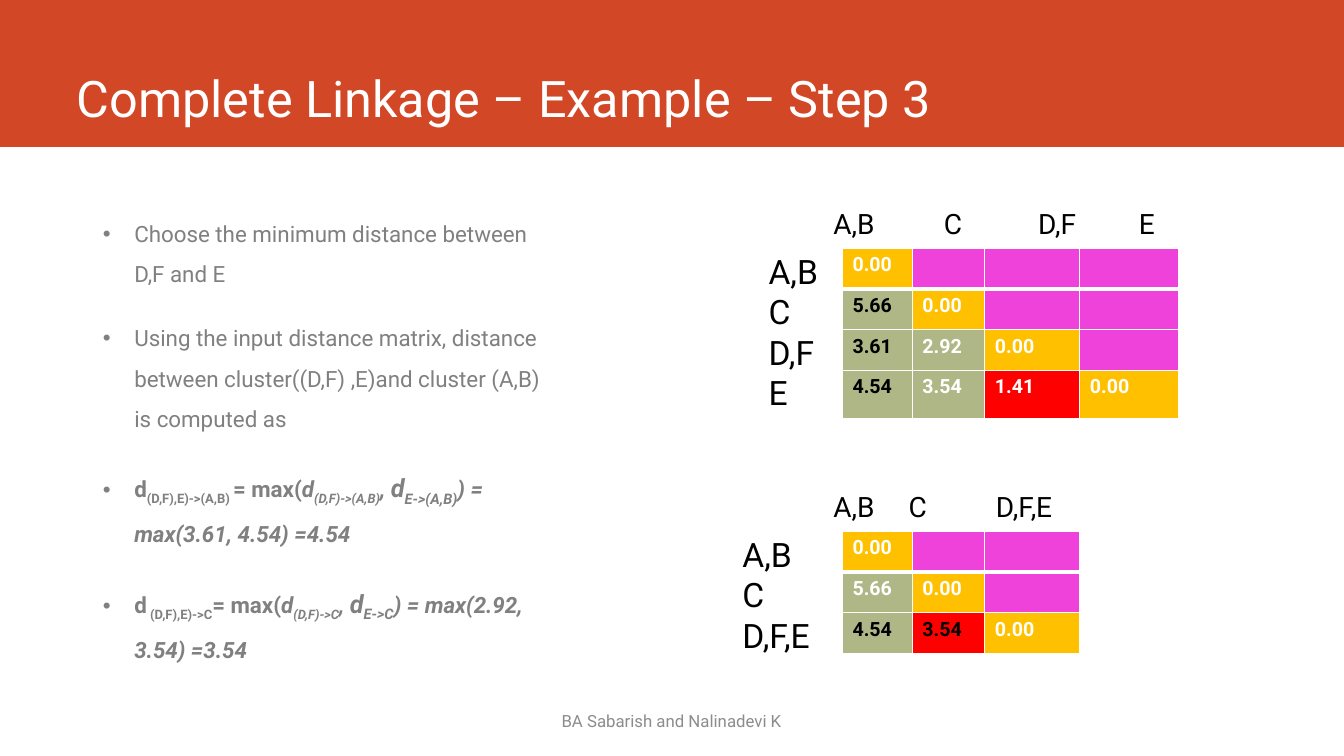
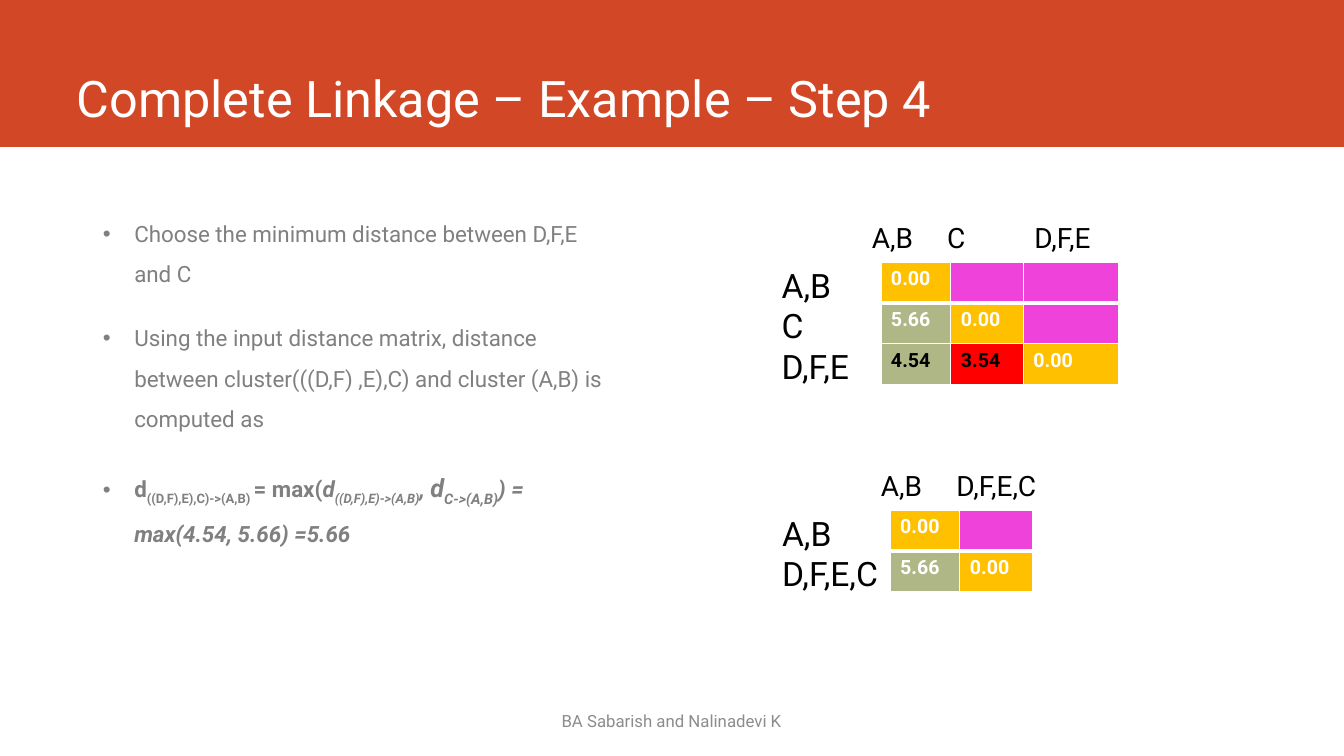
import dataclasses

import pptx
import pptx.dml.color
import pptx.enum.shapes
import pptx.enum.text
import pptx.oxml.ns
import pptx.util
from lxml import etree

Cm = pptx.util.Cm
Pt = pptx.util.Pt
ANCHOR = pptx.enum.text.MSO_ANCHOR
ALIGN = pptx.enum.text.PP_ALIGN
qn = pptx.oxml.ns.qn


@dataclasses.dataclass(frozen=True)
class Theme:
    """Colours, font and type sizes of the deck."""
    font: str = "Roboto"
    band: str = "D24726"
    white: str = "FFFFFF"
    black: str = "000000"
    body: str = "808080"
    foot: str = "8C8C8C"
    gold: str = "FFC000"
    pink: str = "EE42DA"
    green: str = "AEB785"
    red: str = "FF0000"
    head_size: int = 36
    row_size: int = 24
    col_size: int = 20
    big_size: int = 18
    text_size: int = 16
    cell_size: int = 14
    foot_size: int = 12


def rgb(code):
    return pptx.dml.color.RGBColor.from_string(code)


def plain(text):
    return [(text, {})]


def maxim(sub, left, right, end):
    bold = {"bold": True}
    slant = {"bold": True, "italic": True}
    large = {**slant, "size": Theme.big_size}
    return [
        ("d", bold), (sub, {**bold, "low": True}), ("= max(", bold),
        ("d", slant), (left, {**slant, "low": True}), (", ", slant),
        ("d", large), (right, {**large, "low": True}), (end, slant),
    ]


class Deck:
    """Holds the theme and the current slide, and draws each kind of element."""
    wide, high = 33.87, 19.05
    cols = (1.76, 1.83, 2.39, 2.49)
    row, last = 1.03, 1.22

    def __init__(self, theme):
        self.theme = theme
        self.file = pptx.Presentation()
        self.file.slide_width = Cm(self.wide)
        self.file.slide_height = Cm(self.high)
        self.base = self.file.slide_layouts[1]
        self.slide = None

    def start(self, title):
        first = self.slide is None
        self.slide = self.file.slides.add_slide(self.base)
        if first:
            self.band()
        self.title(title)
        self.foot("BA Sabarish and Nalinadevi K")

    def band(self):
        kind = pptx.enum.shapes.MSO_SHAPE.RECTANGLE
        bar = self.slide.shapes.add_shape(kind, 0, 0, Cm(self.wide), Cm(3.7))
        bar.shadow.inherit = False
        bar.fill.solid()
        bar.fill.fore_color.rgb = rgb(self.theme.band)
        bar.line.fill.background()
        self.base.shapes._spTree.insert(2, bar._element)

    def place(self, shape, left, top, width, height):
        shape.left, shape.top = Cm(left), Cm(top)
        shape.width, shape.height = Cm(width), Cm(height)
        frame = shape.text_frame
        frame.word_wrap = True
        frame.auto_size = pptx.enum.text.MSO_AUTO_SIZE.NONE
        return frame

    def style(self, run, size, color, bold=False, italic=False, low=False):
        font = run.font
        font.name, font.size = self.theme.font, Pt(size)
        font.bold, font.italic = bold, italic
        font.color.rgb = rgb(color)
        if low:
            run._r.get_or_add_rPr().set("baseline", "-25000")

    def paint(self, frame, size, color, **look):
        for para in frame.paragraphs:
            for run in para.runs:
                self.style(run, size, color, **look)

    def title(self, text):
        frame = self.place(self.slide.shapes.title, 1.68, 0, 29.87, 3.35)
        frame.text = text
        frame.vertical_anchor = ANCHOR.BOTTOM
        frame.paragraphs[0].alignment = ALIGN.LEFT
        self.paint(frame, self.theme.head_size, self.theme.white)

    def label(self, text, left, top, width, height, size, color):
        box = self.slide.shapes.add_textbox(0, 0, 0, 0)
        frame = self.place(box, left, top, width, height)
        frame.text = text
        self.paint(frame, size, color)
        return frame

    def foot(self, text):
        frame = self.label(text, 12.9, 17.65, 8.05, 1.02,
                           self.theme.foot_size, self.theme.foot)
        frame.vertical_anchor = ANCHOR.MIDDLE
        frame.paragraphs[0].alignment = ALIGN.CENTER

    def points(self, width, items):
        body = self.slide.placeholders[1]
        frame = self.place(body, 2.34, 5.08, width, 12.09)
        for index, parts in enumerate(items):
            para = frame.paragraphs[0] if index == 0 else frame.add_paragraph()
            props = para._p.get_or_add_pPr()
            props.set("marL", str(Cm(0.79)))
            props.set("indent", str(-Cm(0.79)))
            etree.SubElement(props, qn("a:buFont")).set("typeface", "Arial")
            etree.SubElement(props, qn("a:buChar")).set("char", "•")
            para.line_spacing = 1.5
            para.space_before = Pt(5 if index else 0)
            para.space_after = Pt(12)
            for text, look in parts:
                run = para.add_run()
                run.text = text
                self.style(run, **{"size": self.theme.text_size,
                                   "color": self.theme.body, **look})

    def edge(self, cell, thick):
        props = cell._tc.get_or_add_tcPr()
        for side in "LRTB":
            line = etree.SubElement(props, qn("a:ln" + side))
            line.set("w", str(Pt(3 if thick and side == "B" else 1)))
            fill = etree.SubElement(line, qn("a:solidFill"))
            etree.SubElement(fill, qn("a:srgbClr")).set("val", self.theme.white)

    def tint(self, row, col, hot):
        if (row, col) == hot:
            return self.theme.red
        if row == col:
            return self.theme.gold
        return self.theme.pink if col > row else self.theme.green

    def matrix(self, left, top, gap, names, tabs, rows, hot=None, dark=()):
        count = len(rows)
        theme = self.theme
        wide = sum(self.cols[:count])
        shape = self.slide.shapes.add_table(
            count, count, Cm(left), Cm(top), Cm(wide), Cm(self.row * count))
        grid = shape.table
        grid.first_row = grid.horz_banding = False
        for index in range(count):
            grid.columns[index].width = Cm(self.cols[index])
            grid.rows[index].height = Cm(self.last if index == 3 else self.row)
        for row in range(count):
            for col in range(count):
                cell = grid.cell(row, col)
                self.edge(cell, row == 0)
                cell.fill.solid()
                cell.fill.fore_color.rgb = rgb(self.tint(row, col, hot))
                if col <= row:
                    cell.text_frame.text = rows[row][col]
                    color = theme.black if (row, col) in dark else theme.white
                    self.paint(cell.text_frame, theme.cell_size, color, bold=True)
        self.label("\n".join(names), left - gap, top - 0.05, gap,
                   self.row * count + 0.9, theme.row_size, theme.black)
        head = self.label("\t".join(names), left - 0.48, top - 1.18, 9.5, 1.12,
                          theme.col_size, theme.black)
        props = head.paragraphs[0]._p.get_or_add_pPr()
        stops = etree.SubElement(props, qn("a:tabLst"))
        for spot in tabs:
            stop = etree.SubElement(stops, qn("a:tab"))
            stop.set("pos", str(Cm(spot)))
            stop.set("algn", "l")


def main():
    deck = Deck(Theme())
    three = {
        "names": ["A,B", "C", "D,F,E"],
        "tabs": [1.9, 4.1],
        "rows": [["0.00"], ["5.66", "0.00"], ["4.54", "3.54", "0.00"]],
        "hot": (2, 1),
        "dark": [(2, 0), (2, 1)],
    }

    deck.start("Complete Linkage – Example – Step 3")
    deck.points(11.58, [
        plain("Choose the minimum distance between D,F and E"),
        plain("Using the input distance matrix, distance between "
              "cluster((D,F) ,E)and cluster (A,B) is computed as"),
        maxim("(D,F),E)->(A,B) ", "(D,F)->(A,B)", "E->(A,B)",
              ") = max(3.61, 4.54) =4.54"),
        maxim(" (D,F),E)->C", "(D,F)->C", "E->C",
              ") = max(2.92, 3.54) =3.54"),
    ])
    deck.matrix(
        21.23, 6.25, 2.11, ["A,B", "C", "D,F", "E"], [2.79, 5.16, 7.7],
        [["0.00"], ["5.66", "0.00"], ["3.61", "2.92", "0.00"],
         ["4.54", "3.54", "1.41", "0.00"]],
        hot=(3, 2), dark=[(1, 0), (2, 0), (3, 0)])
    deck.matrix(21.23, 13.38, 2.77, **three)

    deck.start("Complete Linkage – Example – Step 4")
    deck.points(13.41, [
        plain("Choose the minimum distance between D,F,E and C"),
        plain("Using the input distance matrix, distance between "
              "cluster(((D,F) ,E),C) and cluster (A,B) is computed as"),
        maxim("((D,F),E),C)->(A,B) ", "((D,F),E)->(A,B)", "C->(A,B)",
              ") = max(4.54, 5.66) =5.66"),
    ])
    deck.matrix(22.2, 6.6, 2.75, **three)
    deck.matrix(22.43, 12.85, 2.97, ["A,B", "D,F,E,C"], [1.9],
                [["0.00"], ["5.66", "0.00"]])

    deck.file.save("out.pptx")


if __name__ == "__main__":
    main()
